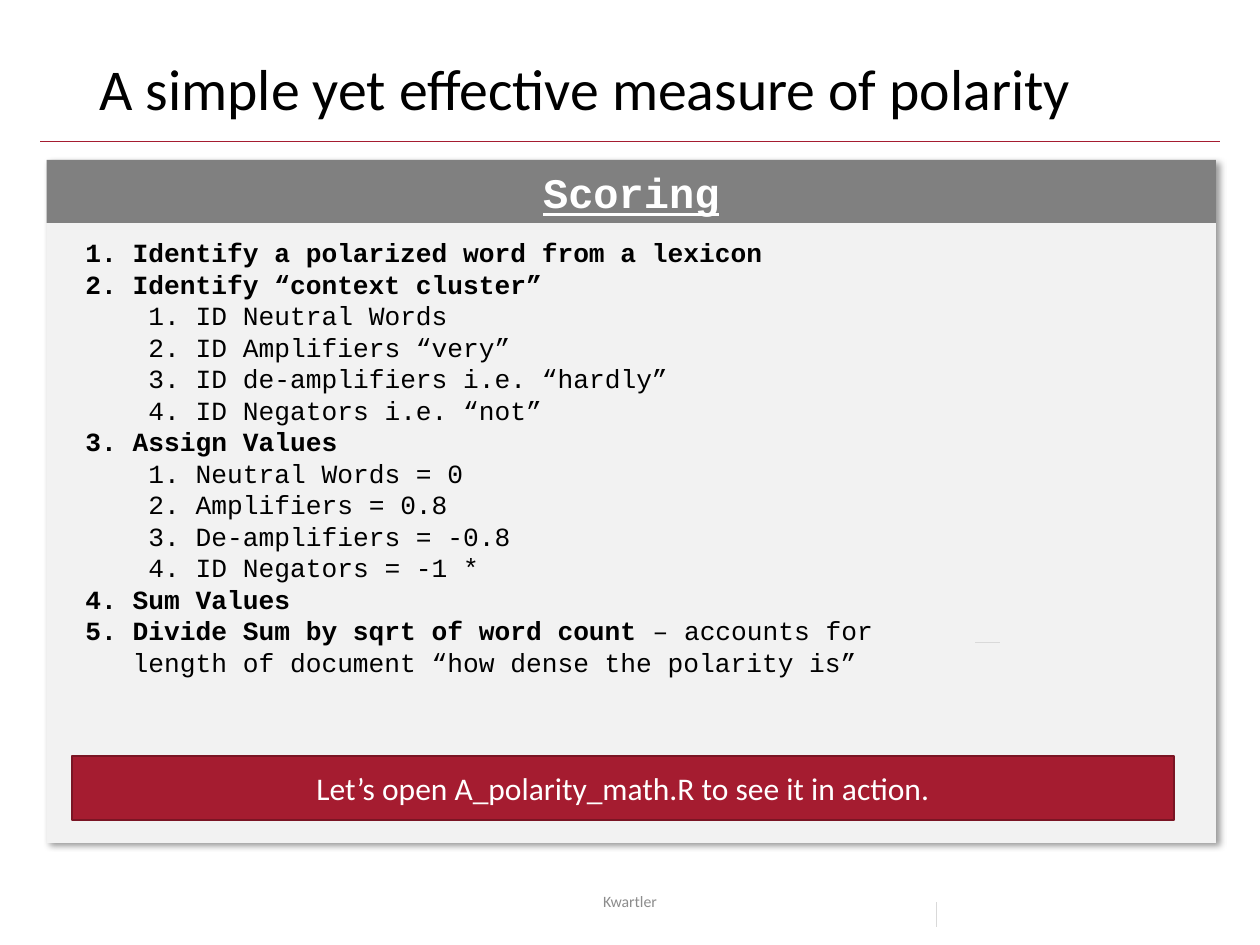
from lxml.etree import SubElement
from pptx import Presentation
from pptx.dml.color import RGBColor
from pptx.enum.shapes import MSO_CONNECTOR, MSO_SHAPE
from pptx.enum.text import MSO_ANCHOR as Anchor, PP_ALIGN as Align
from pptx.oxml.ns import qn
from pptx.util import Pt

TITLE = "A simple yet effective measure of polarity"
HEADING = "Scoring"
# Each step: bold text, plain continuation, sub-steps
STEPS = [
    ("Identify a polarized word from a lexicon", "", []),
    ("Identify “context cluster”", "", [
        "ID Neutral Words",
        "ID Amplifiers “very”",
        "ID de-amplifiers i.e. “hardly”",
        "ID Negators i.e. “not”",
    ]),
    ("Assign Values", "", [
        "Neutral Words = 0",
        "Amplifiers = 0.8",
        "De-amplifiers = -0.8",
        "ID Negators = -1 *",
    ]),
    ("Sum Values", "", []),
    ("Divide Sum by sqrt of word count ",
     "– accounts for length of document “how dense the polarity is”", []),
]
CALL_TO_ACTION = "Let’s open A_polarity_math.R to see it in action."
FOOTER = "Kwartler"

THEME = {
    "sans": "Calibri", "mono": "Courier New",
    "black": "000000", "white": "FFFFFF", "panel": "F2F2F2",
    "heading": "808080", "crimson": "A51C30", "crimson_edge": "7A1524",
    "muted": "8C8C8C", "tick": "D9D9D9",
    "title_size": 33, "heading_size": 24, "action_size": 18,
    "step_size": 15, "footer_size": 9,
}

PANEL_LEFT, PANEL_TOP, PANEL_WIDTH = 26.64, 91.44, 668.16
HANGING, LEVEL_STEP = 27, 36
RULES = [  # start x, start y, end x, end y, colour
    (23.04, 80.64, 696.96, 80.64, "crimson"),
    (534.96, 515.52, 534.96, 529.92, "tick"),
    (557.28, 367.2, 571.68, 367.2, "tick"),
]


def rgb(colour):
    return RGBColor.from_string(THEME[colour])


def add_text(paragraph, text, *, size, font="sans", colour="black",
             bold=False, underline=False, align=Align.LEFT):
    paragraph.alignment = align
    run = paragraph.add_run()
    run.text = text
    run.font.name = THEME[font]
    run.font.size = Pt(THEME[size])
    run.font.color.rgb = rgb(colour)
    run.font.bold = bold
    run.font.underline = underline


def add_frame(slide, box, anchor=Anchor.MIDDLE):
    frame = slide.shapes.add_textbox(*map(Pt, box)).text_frame
    frame.word_wrap = True
    frame.vertical_anchor = anchor
    return frame


def add_block(slide, box, fill, edge=None):
    block = slide.shapes.add_shape(MSO_SHAPE.RECTANGLE, *map(Pt, box))
    block.shadow.inherit = False
    block.fill.solid()
    block.fill.fore_color.rgb = rgb(fill)
    if edge:
        block.line.color.rgb = rgb(edge)
        block.line.width = Pt(1)
    else:
        block.line.fill.background()
    block.text_frame.vertical_anchor = Anchor.MIDDLE
    return block


def cast_shadow(block):
    """Give the block a soft shadow to the lower right."""
    effects = block._element.spPr.find(qn("a:effectLst"))
    shadow = SubElement(effects, qn("a:outerShdw"), blurRad=str(Pt(4)),
                        dist=str(Pt(3)), dir="2700000", algn="tl", rotWithShape="0")
    colour = SubElement(shadow, qn("a:srgbClr"), val=THEME["black"])
    SubElement(colour, qn("a:alpha"), val="40000")


def add_rule(slide, x1, y1, x2, y2, colour):
    rule = slide.shapes.add_connector(MSO_CONNECTOR.STRAIGHT, *map(Pt, (x1, y1, x2, y2)))
    rule.line.color.rgb = rgb(colour)
    rule.line.width = Pt(0.5)
    SubElement(rule._element.spPr, qn("a:effectLst"))


def add_numbered(frame, level, bold_text, plain_text):
    first = frame.paragraphs[0]
    paragraph = frame.add_paragraph() if first.runs else first
    paragraph.level = level
    for text, bold in ((bold_text, True), (plain_text, False)):
        if text:
            add_text(paragraph, text, size="step_size", font="mono", bold=bold)
    properties = paragraph._p.get_or_add_pPr()
    properties.set("marL", str(Pt(HANGING + level * LEVEL_STEP)))
    properties.set("indent", str(-Pt(HANGING)))
    SubElement(properties, qn("a:buFont"), typeface="+mj-lt")
    SubElement(properties, qn("a:buAutoNum"), type="arabicPeriod")


def main():
    deck = Presentation()
    deck.slide_width, deck.slide_height = Pt(720), Pt(540)
    slide = deck.slides.add_slide(deck.slide_layouts[6])

    title = add_frame(slide, (49.68, 28.8, 620.64, 46.8)).paragraphs[0]
    title.line_spacing = 0.9
    add_text(title, TITLE, size="title_size")

    cast_shadow(add_block(slide, (PANEL_LEFT, PANEL_TOP, PANEL_WIDTH, 390.24), "panel"))
    heading = add_block(slide, (PANEL_LEFT, PANEL_TOP, PANEL_WIDTH, 36), "heading")
    add_text(heading.text_frame.paragraphs[0], HEADING, size="heading_size", font="mono",
             colour="white", bold=True, underline=True, align=Align.CENTER)

    steps = add_frame(slide, (41.76, 131.76, 491.04, 262.08), Anchor.TOP)
    for bold_text, plain_text, substeps in STEPS:
        add_numbered(steps, 0, bold_text, plain_text)
        for substep in substeps:
            add_numbered(steps, 1, "", substep)

    footer = add_frame(slide, (238.32, 500.4, 243.36, 28.8))
    add_text(footer.paragraphs[0], FOOTER, size="footer_size", colour="muted",
             align=Align.CENTER)

    action = add_block(slide, (41.04, 432, 630, 36.72), "crimson", "crimson_edge")
    add_text(action.text_frame.paragraphs[0], CALL_TO_ACTION, size="action_size",
             colour="white", align=Align.CENTER)

    for rule in RULES:
        add_rule(slide, *rule)

    deck.save("out.pptx")


if __name__ == "__main__":
    main()
